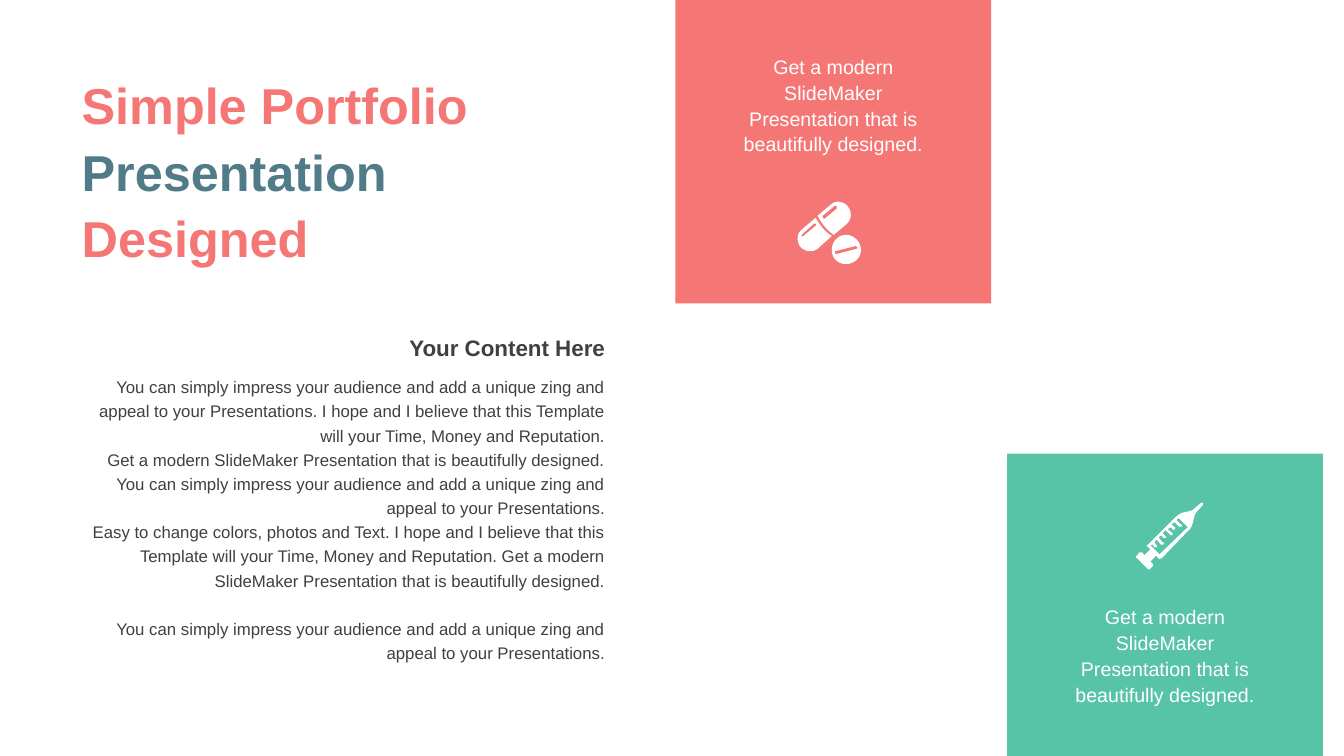
from pptx import Presentation
from pptx.dml.color import RGBColor
from pptx.enum.shapes import MSO_SHAPE as Shape
from pptx.enum.text import MSO_ANCHOR as Anchor, MSO_AUTO_SIZE as Fit, PP_ALIGN as Align
from pptx.util import Inches, Pt

CORAL, SLATE, GREEN, DARK, WHITE = "F47775", "507C89", "57C3A7", "404040", "FFFFFF"
FONT = "Arial"
UNIT = 100  # drawing units in a hundredth of an inch
STEPS = 8

# Each outline lists its points in hundredths of an inch, split by commas;
# six numbers stand for a curve: two control points and an end point.
PILLS = [
    "48 33, 56 33 63 40 63 48, 63 56 56 62 48 62, 40 62 34 56 34 48, 34 40 40 33 48 33",
    "58 44, 38 49, 37 49 37 50 37 51, 37 52 38 52 39 52, 58 47, 59 47 60 46 59 45, 58 44",
    "18 16, 22 23 27 30 34 34, 30 38 25 42 21 46, 15 51 8 50 3 45, -1 40 -1 32 4 28",
    "17 22, 16 22, 5 32, 4 33 4 34 4 34, 5 35 6 35 6 34, 18 24, 19 24 19 23 18 22",
    "41 0, 45 1 48 2 50 5, 54 10 54 17 49 22, 36 33, 29 28 24 22 20 14, 33 3, 35 1 38 0 41 0",
    "38 4, 37 4, 25 14, 25 15 25 16 25 16, 26 17 26 17 27 17, 39 7, 39 6 39 5 39 5",
]
SYRINGE = [
    "20 52, 14 58, 16 60, 17 61 17 62 16 63, 12 67 13 67 9 63, 1 55, -1 54 -1 53 1 52,"
    "3 49, 4 49 5 49 6 49, 8 52, 14 46, 12 44, 10 43 10 42 12 41, 38 15,"
    "41 12 44 10 48 9, 50 9 53 8 56 7, 57 6, 63 1, 64 0 65 -1 66 0, 67 1 66 2 65 3,"
    "59 10, 57 13 57 17 56 20, 55 23 54 26 51 28, 26 54, 23 56 23 56 21 54",
    "23 51, 51 24, 42 15, 40 17, 44 21, 45 21 46 22 45 23, 44 24 43 24 42 23,"
    "38 19, 35 21, 38 24, 39 24 39 25 38 26, 38 27 37 27 36 26, 34 24, 31 26,"
    "36 30, 36 30 36 31 36 32, 36 32 35 32 34 32, 29 27, 26 30,"
    "29 33, 30 33 30 34 29 35, 29 35 28 35 27 35, 25 32, 22 34,"
    "26 39, 27 39 28 40 27 41, 26 42 25 41 24 41, 20 36, 18 39,"
    "20 42, 21 42 21 43 20 44, 20 44 19 44 18 44, 16 41, 14 42, 15 43",
]

TITLE = [("Simple Portfolio ", CORAL), ("Presentation ", SLATE), ("Designed", CORAL)]
IMPRESS = ("You can simply impress your audience and add a unique zing and appeal "
           "to your Presentations.")
HOPE = ("I hope and I believe that this Template will your Time, Money and Reputation.")
MODERN = "Get a modern SlideMaker Presentation that is beautifully designed."
BODY = [
    f"{IMPRESS} {HOPE}",
    f"{MODERN} {IMPRESS}",
    f"Easy to change colors, photos and Text. {HOPE} {MODERN}",
    IMPRESS,
]


def rgb(code):
    return RGBColor.from_string(code)


def paint(shape, color):
    shape.shadow.inherit = False
    shape.fill.solid()
    shape.fill.fore_color.rgb = rgb(color)
    shape.line.fill.background()


def style(run, size, color, bold=False):
    font = run.font
    font.name, font.size, font.bold = FONT, Pt(size), bold
    font.color.rgb = rgb(color)


def trace(outline):
    """Return the points of an outline, its curves cut into short steps."""
    points = []
    for part in outline.split(","):
        nums = [float(n) * UNIT for n in part.split()]
        pairs = list(zip(nums[::2], nums[1::2]))
        if len(pairs) == 1:
            points += pairs
            continue
        curve = [points[-1], *pairs]
        for step in range(1, STEPS + 1):
            t = step / STEPS
            parts = ((1 - t) ** 3, 3 * t * (1 - t) ** 2, 3 * t * t * (1 - t), t ** 3)
            points.append(tuple(sum(w * p[i] for w, p in zip(parts, curve))
                                for i in (0, 1)))
    return points


def add_icon(slide, left, top, outlines):
    pen = None
    for outline in outlines:
        first, *rest = trace(outline)
        if pen is None:
            pen = slide.shapes.build_freeform(*first, scale=Inches(0.01) / UNIT)
        else:
            pen.move_to(*first)
        pen.add_line_segments(rest, close=True)
    paint(pen.convert_to_shape(Inches(left), Inches(top)), WHITE)


def add_text(slide, box, lines, size, color, align, space=1.0, bold=False):
    frame = slide.shapes.add_textbox(*map(Inches, box)).text_frame
    frame.word_wrap = True
    frame.text = "\n".join(lines)
    for para in frame.paragraphs:
        para.alignment, para.line_spacing = align, space
        for run in para.runs:
            style(run, size, color, bold)
    return frame


def add_title(slide, box):
    title = slide.shapes.title
    title.left, title.top, title.width, title.height = map(Inches, box)
    frame = title.text_frame
    frame.word_wrap, frame.auto_size = True, Fit.NONE
    frame.vertical_anchor = Anchor.MIDDLE
    para = frame.paragraphs[0]
    para.alignment, para.line_spacing, para.space_before = Align.LEFT, 1.1, Pt(0)
    for words, color in TITLE:
        run = para.add_run()
        run.text = words
        style(run, 36, color, True)


def add_body(slide, box):
    left, top, width, height = box
    head = 0.38
    add_text(slide, (left, top, width, head), ["Your Content Here"], 16, DARK,
             Align.RIGHT, bold=True)
    frame = add_text(slide, (left, top + head, width, height - head), BODY, 12, DARK,
                     Align.RIGHT, 1.2)
    frame.paragraphs[-1].space_before = Pt(17)


def add_panel(slide, box, color, drop, icon, spot):
    """Add a filled panel; drop is the top of its text, spot the place of its icon."""
    left, top, width, _ = box
    paint(slide.shapes.add_shape(Shape.RECTANGLE, *map(Inches, box)), color)
    wide = 2.05
    add_text(slide, (left + (width - wide) / 2, top + drop, wide, 1.14), [MODERN], 14,
             WHITE, Align.CENTER, 1.1)
    add_icon(slide, left + spot[0], top + spot[1], icon)


def main():
    deck = Presentation()
    deck.slide_width, deck.slide_height = Inches(13.33), Inches(7.5)
    slide = deck.slides.add_slide(deck.slide_layouts[5])
    add_title(slide, (0.71, 0.6, 4.42, 2.13))
    add_body(slide, (0.71, 3.27, 5.39, 3.39))
    add_panel(slide, (6.7, 0, 3.13, 3.01), CORAL, 0.47, PILLS, (1.21, 2))
    add_panel(slide, (9.99, 4.5, 3.13, 3), GREEN, 1.43, SYRINGE, (1.28, 0.49))
    deck.save("out.pptx")


if __name__ == "__main__":
    main()
